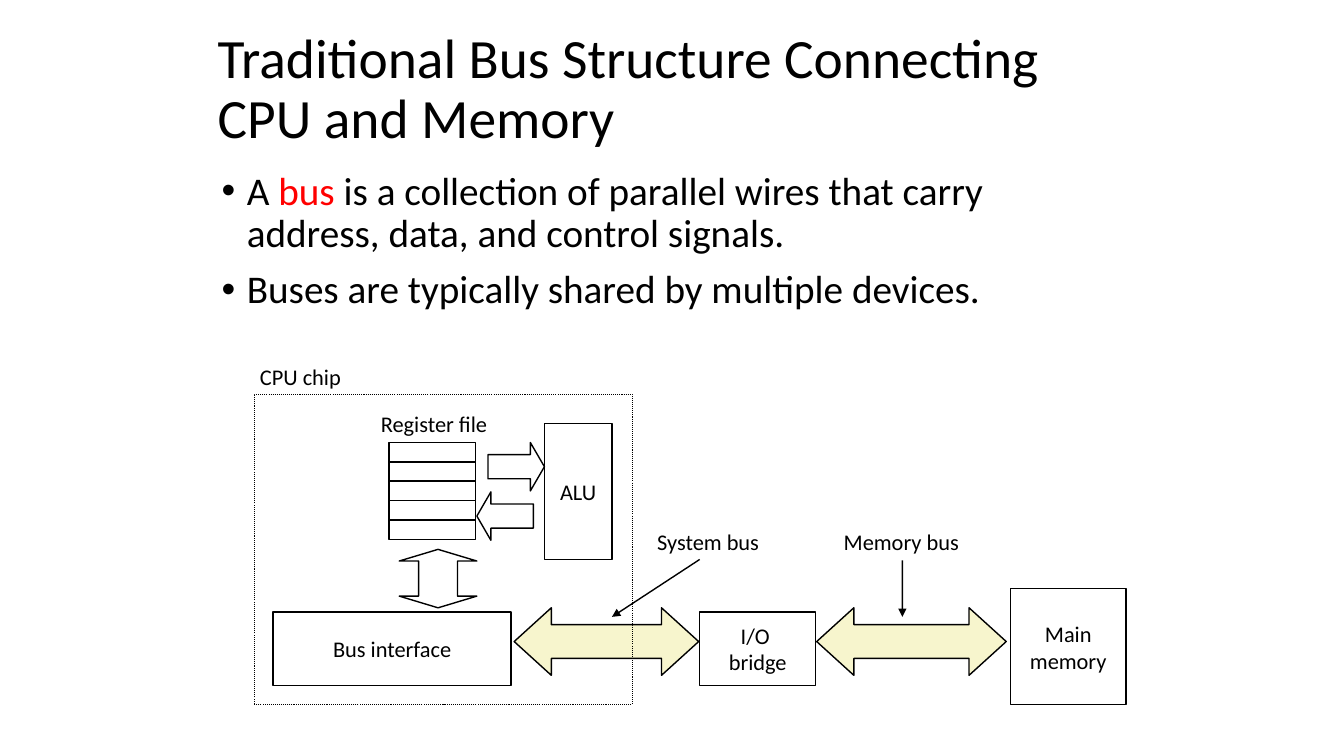
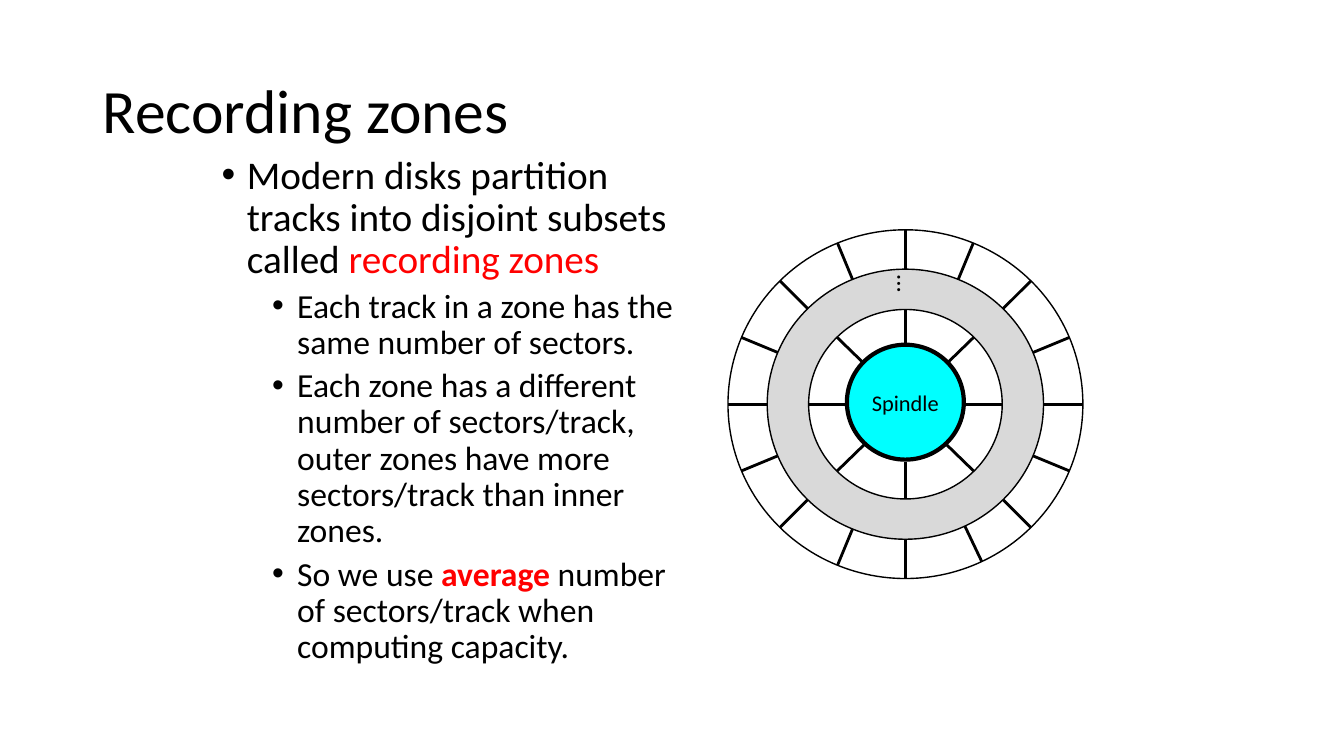
import math
from dataclasses import dataclass

import pptx
import pptx.dml.color
import pptx.enum.dml
import pptx.enum.shapes
import pptx.enum.text
import pptx.oxml.ns
import pptx.util
from lxml import etree

Inches = pptx.util.Inches
Pt = pptx.util.Pt
MSO = pptx.enum.shapes.MSO_SHAPE
ANCHOR = pptx.enum.text.MSO_ANCHOR
ALIGN = pptx.enum.text.PP_ALIGN
DASH = pptx.enum.dml.MSO_LINE
qn = pptx.oxml.ns.qn


@dataclass(frozen=True)
class Theme:
    font: str = "Calibri"
    ink: str = "000000"
    accent: str = "FF0000"
    bus: str = "F7F5CD"
    zone: str = "D9D9D9"
    paper: str = "FFFFFF"
    spindle: str = "00FFFF"
    title: float = 44
    long_title: float = 39.6
    levels: tuple = (28, 24)
    label: float = 16
    dots: float = 18
    hairline: float = 0.75
    thin: float = 1
    spoke: float = 2
    thick: float = 3


T = Theme()


def rgb(value):
    return pptx.dml.color.RGBColor.from_string(value)


# Text
def add_run(p, text, size, color=T.ink, bold=False):
    r = p.add_run()
    r.text = text
    r.font.name = T.font
    r.font.size = Pt(size)
    r.font.color.rgb = rgb(color)
    r.font.bold = bold


def add_lines(tf, lines, size, align=None):
    for i, line in enumerate(lines):
        p = tf.paragraphs[0] if i == 0 else tf.add_paragraph()
        p.alignment = align
        add_run(p, line, size)


def add_box(s, at, wrap=True, anchor=ANCHOR.TOP):
    sp = s.shapes.add_textbox(*map(Inches, at))
    tf = sp.text_frame
    tf.word_wrap = wrap
    tf.vertical_anchor = anchor
    return sp


def add_title(s, at, lines, size=T.title):
    p = add_box(s, at, anchor=ANCHOR.MIDDLE).text_frame.paragraphs[0]
    p.line_spacing = 0.9
    for i, line in enumerate(lines):
        if i:
            p.add_line_break()
        add_run(p, line, size)


def add_bullets(s, at, items):
    """Each item is a level and its runs: (text, colour, bold)."""
    tf = add_box(s, at).text_frame
    for i, (level, runs) in enumerate(items):
        p = tf.paragraphs[0] if i == 0 else tf.add_paragraph()
        p.level = level
        p.line_spacing = 0.9
        p.space_before = Pt(5 if level else 10)
        pPr = p._p.get_or_add_pPr()
        pPr.set("marL", str(Inches(0.25 + 0.5 * level)))
        pPr.set("indent", str(-Inches(0.25)))
        etree.SubElement(pPr, qn("a:buFont")).set("typeface", "Arial")
        etree.SubElement(pPr, qn("a:buChar")).set("char", "•")
        for run in runs:
            add_run(p, run[0], T.levels[level], *run[1:])


def add_label(s, at, text):
    sp = add_box(s, at, wrap=False, anchor=ANCHOR.MIDDLE)
    add_lines(sp.text_frame, [text], T.label)
    return sp


# Shapes and lines
def set_adjustments(sp, values):
    """Write the guides by name, as the up-down arrow needs adj1 and adj2 set apart."""
    guides = sp._element.spPr.find(qn("a:prstGeom")).find(qn("a:avLst"))
    for gd in list(guides):
        guides.remove(gd)
    for i, value in enumerate(values, 1):
        gd = etree.SubElement(guides, qn("a:gd"))
        gd.set("name", f"adj{i}")
        gd.set("fmla", f"val {round(value * 100000)}")


def add_shape(s, kind, at, fill=None, lines=(), width=T.thin, adj=(), dash=None):
    sp = s.shapes.add_shape(kind, *map(Inches, at))
    sp.shadow.inherit = False
    if adj:
        set_adjustments(sp, adj)
    if fill:
        sp.fill.solid()
        sp.fill.fore_color.rgb = rgb(fill)
    else:
        sp.fill.background()
    sp.line.color.rgb = rgb(T.ink)
    sp.line.width = Pt(width)
    if dash:
        sp.line.dash_style = dash
    if lines:
        tf = sp.text_frame
        tf.word_wrap = False
        tf.vertical_anchor = ANCHOR.MIDDLE
        add_lines(tf, lines, T.label, ALIGN.CENTER)
    return sp


def add_line(s, start, end, width=T.thin, arrow=False):
    straight = pptx.enum.shapes.MSO_CONNECTOR.STRAIGHT
    cx = s.shapes.add_connector(straight, *map(Inches, start + end))
    cx.line.color.rgb = rgb(T.ink)
    cx.line.width = Pt(width)
    if arrow:
        etree.SubElement(cx.line._get_or_add_ln(), qn("a:tailEnd")).set("type", "triangle")
    etree.SubElement(cx._element.spPr, qn("a:effectLst"))
    return cx


def add_ring(s, center, radii, **style):
    (x, y), (rx, ry) = center, radii
    return add_shape(s, MSO.OVAL, (x - rx, y - ry, 2 * rx, 2 * ry), **style)


def add_spokes(s, center, inner, outer, angles):
    for angle in angles:
        a = math.radians(angle)
        start, end = [
            (center[0] + rx * math.cos(a), center[1] + ry * math.sin(a))
            for rx, ry in (inner, outer)
        ]
        add_line(s, start, end, T.spoke)


# Slides
def bus_slide(s):
    add_title(s, (2.06, 0.48, 9.61, 0.83),
              ["Traditional Bus Structure Connecting ", "CPU and Memory"], T.long_title)
    add_bullets(s, (2.1, 1.65, 8.64, 5.44), [
        (0, [("A ",), ("bus", T.accent),
             (" is a collection of parallel wires that carry address, data, and control signals.",)]),
        (0, [("Buses are typically shared by multiple devices.",)]),
    ])

    # Units and the buses between them
    for at, lines in (
        ((10.02, 5.84, 1.15, 1.15), ["Main", "memory"]),
        ((6.94, 6.07, 1.15, 0.73), ["I/O ", "bridge"]),
        ((2.71, 6.07, 2.36, 0.73), ["Bus interface"]),
        ((5.4, 4.2, 0.67, 1.35), ["ALU"]),
    ):
        add_shape(s, MSO.RECTANGLE, at, lines=lines)
    for left, width in ((8.1, 1.88), (5.1, 1.83)):
        add_shape(s, MSO.LEFT_RIGHT_ARROW, (left, 6.03, width, 0.67), T.bus, adj=(0.5, 0.55))

    # Register file and its data paths
    pitch = 0.96 / 5
    for row in range(5):
        add_shape(s, MSO.RECTANGLE, (3.86, 4.39 + row * pitch, 0.86, pitch))
    for kind, at, head in (
        (MSO.RIGHT_ARROW, (4.84, 4.39, 0.56, 0.48), 0.29),
        (MSO.LEFT_ARROW, (4.73, 4.88, 0.56, 0.48), 0.29),
        (MSO.UP_DOWN_ARROW, (3.96, 5.45, 0.77, 0.58), 0.2),
    ):
        add_shape(s, kind, at, adj=(0.5, head))

    # Chip outline and labels
    add_shape(s, MSO.RECTANGLE, (2.52, 3.91, 3.75, 3.08), width=T.hairline, dash=DASH.ROUND_DOT)
    add_label(s, (3.68, 4.02, 1.27, 0.37), "Register file")
    add_label(s, (2.48, 3.55, 1.01, 0.37), "CPU chip")
    add_label(s, (6.42, 5.19, 1.23, 0.37), "System bus")
    memory_bus = add_label(s, (8.27, 5.19, 1.36, 0.37), "Memory bus")
    add_line(s, (6.94, 5.55), (6.07, 6.12), arrow=True)
    pointer = add_line(s, (8.95, 5.56), (8.95, 6.12), arrow=True)
    pointer.begin_connect(memory_bus, 2)


def zones_slide(s):
    add_title(s, (0.92, 0.4, 11.5, 1.45), ["Recording zones"])
    add_bullets(s, (2.1, 1.49, 4.83, 5.54), [
        (0, [("Modern disks partition tracks into disjoint subsets called ",),
             ("recording zones", T.accent)]),
        (1, [("Each track in a zone has the same number of sectors.",)]),
        (1, [("Each zone has a different number of sectors/track, "
              "outer zones have more sectors/track than inner zones.",)]),
        (1, [("So we use ",), ("average", T.accent, True),
             (" number of sectors/track when computing capacity.",)]),
    ])

    # Disk: concentric rings, given by their radii
    center = (8.98, 4.01)
    rim, gap, inner_zone, spindle = (1.76, 1.73), (1.37, 1.34), (0.96, 0.94), (0.58, 0.57)
    add_ring(s, center, gap, fill=T.zone)
    add_ring(s, center, inner_zone, fill=T.paper)
    add_ring(s, center, rim)
    add_ring(s, (8.98, 3.99), spindle, fill=T.spindle, width=T.thick, lines=["Spindle"])

    # Sector borders; one outer border sits slightly off the even step
    add_spokes(s, center, spindle, inner_zone, range(0, 360, 45))
    outer_angles = [22.5 * i for i in range(16)]
    outer_angles[3] = 64.5
    add_spokes(s, center, gap, rim, outer_angles)

    # Dots for the zones between
    dots = add_box(s, (8.63, 2.73, 0.5, 0.27), wrap=False)
    dots.text_frame._txBody.bodyPr.set("vert", "vert270")
    add_lines(dots.text_frame, ["…"], T.dots)


def main():
    prs = pptx.Presentation()
    prs.slide_width, prs.slide_height = Inches(13.33), Inches(7.5)
    for build in (bus_slide, zones_slide):
        build(prs.slides.add_slide(prs.slide_layouts[6]))
    prs.save("out.pptx")


if __name__ == "__main__":
    main()
